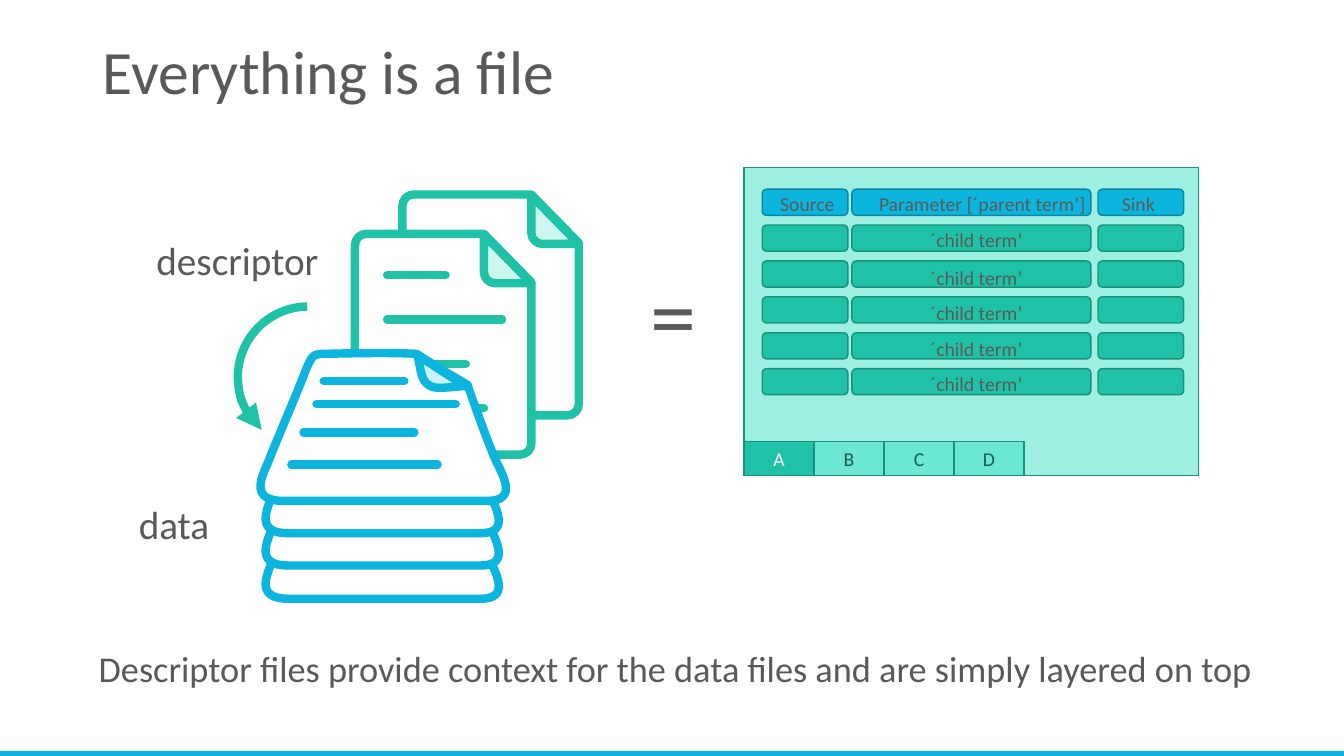
"""Builds the slide "Everything is a file" on a grid of 1333 columns by 750 rows."""
from lxml.etree import SubElement
from pptx import Presentation
from pptx.dml.color import RGBColor
from pptx.enum.shapes import MSO_CONNECTOR, MSO_SHAPE
from pptx.enum.text import MSO_ANCHOR, PP_ALIGN
from pptx.oxml.ns import qn
from pptx.util import Inches, Pt

GREEN = RGBColor(0x1F, 0xC2, 0xA7)
GREEN_EDGE = RGBColor(0x17, 0x90, 0x7C)
GREEN_TEXT = RGBColor(0x10, 0x61, 0x54)
GREEN_TAB = RGBColor(0x6C, 0xE7, 0xD3)
GREEN_PANEL = RGBColor(0x9D, 0xEF, 0xE2)
GREEN_FOLD = RGBColor(0xCE, 0xF7, 0xF0)
BLUE = RGBColor(0x0B, 0xB5, 0xDD)
BLUE_EDGE = RGBColor(0x08, 0x86, 0xA3)
BLUE_FOLD = RGBColor(0xCA, 0xF3, 0xFC)
LOWER_FOLD = RGBColor(0xDA, 0xE3, 0xF3)
LOWER_FOLD_EDGE = RGBColor(0x44, 0x72, 0xC4)
GREY = RGBColor(0x59, 0x59, 0x59)
WHITE = RGBColor(0xFF, 0xFF, 0xFF)

deck = Presentation()
deck.slide_width = Inches(13.33)
deck.slide_height = Inches(7.5)
CELL = deck.slide_height // 750
page = deck.slides.add_slide(deck.slide_layouts[6])


def write(box, text, size=14, color=GREY, align=PP_ALIGN.LEFT,
          anchor=MSO_ANCHOR.TOP, wrap=True, spacing=1.0):
    frame = box.text_frame
    frame.word_wrap = wrap
    frame.vertical_anchor = anchor
    para = frame.paragraphs[0]
    para.alignment = align
    para.line_spacing = spacing
    span = para.add_run()
    span.text = text
    span.font.name = "Calibri"
    span.font.size = Pt(size)
    span.font.color.rgb = color


def paint(shape, fill=None, edge=None, points=1):
    shape.shadow.inherit = False
    if fill is None:
        shape.fill.background()
    else:
        shape.fill.solid()
        shape.fill.fore_color.rgb = fill
    if edge is None:
        shape.line.fill.background()
    else:
        shape.line.color.rgb = edge
        shape.line.width = Pt(points)
        SubElement(shape.line._get_or_add_ln(), qn("a:round"))
    return shape


bar = page.shapes.add_shape(MSO_SHAPE.RECTANGLE, 0, CELL * 745, deck.slide_width, CELL * 5)
paint(bar, BLUE)

PAGE = ((352, 232, 527, 451), [
    (352, 244), (352, 237, 357, 232, 363, 232), (480, 232), (527, 280), (527, 440),
    (527, 446, 522, 451, 516, 451), (363, 451), (357, 451, 352, 446, 352, 440), (352, 244)])
PAGE_FOLD = ((480, 233, 527, 281), [
    (480, 233), (527, 281), (491, 281), (485, 281, 480, 276, 480, 270), (480, 233)])
SHEET = ((259, 350, 502, 497), [
    (303, 368), (296, 387, 271, 445, 267, 456), (261, 471, 245, 497, 282, 497),
    (483, 497), (516, 497, 497, 469, 490, 453), (484, 438, 474, 412, 464, 382),
    (440, 368, 435, 365, 413, 351), (389, 350, 372, 350, 325, 351),
    (311, 351, 310, 351, 303, 368)])
SHEET_FOLD = ((414, 352, 462, 385), [
    (414, 352), (417, 364, 417, 377, 425, 382), (432, 387, 444, 384, 462, 383),
    (450, 376, 424, 359, 414, 352)])
PAGE_LINES = [(384, 442, 273), (384, 498, 317), (384, 462, 361), (384, 480, 405)]
SHEET_LINES = [(321, 401, 378), (314, 452, 401), (301, 411, 429), (289, 434, 461)]

descriptor_outlines = [
    (outline, fill, GREEN, 1, right, down)
    for right, down in ((47, -39), (0, 0))
    for outline, fill in ((PAGE, WHITE), (PAGE_FOLD, GREEN_FOLD))]
data_outlines = [
    (outline, fill, edge, 0.95, 18, down)
    for down in (97, 64, 32)
    for outline, fill, edge in ((SHEET, WHITE, BLUE),
                                (SHEET_FOLD, LOWER_FOLD, LOWER_FOLD_EDGE))]
data_outlines += [(SHEET, WHITE, BLUE, 1, 0, 0), (SHEET_FOLD, BLUE_FOLD, BLUE, 1, 0, 0)]

for color, outlines, text_lines in ((GREEN, descriptor_outlines, PAGE_LINES),
                                    (BLUE, data_outlines, SHEET_LINES)):
    for (frame, steps), fill, edge, stretch, right, down in outlines:
        x1, y1, x2, y2 = frame
        builder = page.shapes.build_freeform(
            CELL * (x1 * stretch + right), CELL * (y1 + down))
        builder.add_line_segments(
            [(CELL * (x2 * stretch + right), CELL * (y2 + down))], close=False)
        sheet = paint(builder.convert_to_shape(), fill, edge, 6)
        contour = next(sheet._element.iter(qn("a:path")))
        for segment in list(contour):
            contour.remove(segment)
        for index, step in enumerate(steps):
            kind = "a:cubicBezTo" if len(step) == 6 else "a:lnTo" if index else "a:moveTo"
            segment = SubElement(contour, qn(kind))
            for x, y in zip(step[::2], step[1::2]):
                SubElement(segment, qn("a:pt"), x=str(round(CELL * (x - x1) * stretch)),
                           y=str(CELL * (y - y1)))
        SubElement(contour, qn("a:close"))
    for start, end, row in text_lines:
        stroke = page.shapes.add_connector(
            MSO_CONNECTOR.STRAIGHT, CELL * start, CELL * row, CELL * end, CELL * row)
        stroke.line.color.rgb = color
        stroke.line.width = Pt(6)
        stroke.line._get_or_add_ln().set("cap", "rnd")
        SubElement(stroke._element.spPr, qn("a:effectLst"))

for left, top, turn in ((397, 339, 0), (463, 383, 71.5)):
    patch = page.shapes.add_shape(
        MSO_SHAPE.RECTANGLE, CELL * left, CELL * top, CELL * 21, CELL * 7)
    patch.rotation = turn
    paint(patch, WHITE)

arrow = page.shapes.add_shape(MSO_SHAPE.ARC, CELL * 236, CELL * 304, CELL * 140, CELL * 140)
arrow.adjustments[0] = 136.2
arrow.adjustments[1] = 2.73
arrow.rotation = 264.4
paint(arrow, None, GREEN, 6)
SubElement(arrow.line._get_or_add_ln(), qn("a:headEnd"), type="triangle")

panel = page.shapes.add_shape(
    MSO_SHAPE.RECTANGLE, CELL * 738, CELL * 166, CELL * 451, CELL * 306)
paint(panel, GREEN_PANEL, GREEN_EDGE)

for index, letter in enumerate("ABCD"):
    tab = page.shapes.add_shape(
        MSO_SHAPE.RECTANGLE, int(CELL * (738 + 69.4 * index)), CELL * 438,
        int(CELL * 69.4), CELL * 34)
    paint(tab, GREEN_TAB if index else GREEN, GREEN_EDGE)
    write(tab, letter, color=GREEN_TEXT if index else WHITE,
          align=PP_ALIGN.CENTER, anchor=MSO_ANCHOR.MIDDLE)

for row in range(6):
    for left, width in ((756, 85), (845, 237), (1089, 85)):
        field = page.shapes.add_shape(
            MSO_SHAPE.ROUNDED_RECTANGLE, CELL * left, int(CELL * (187.7 + 35.6 * row)),
            CELL * width, CELL * 26)
        paint(field, GREEN if row else BLUE, GREEN_EDGE if row else BLUE_EDGE)

centered = {"align": PP_ALIGN.CENTER}
label = {"size": 28, "align": PP_ALIGN.CENTER, "wrap": False}
heading = {"wrap": False}
texts = [
    ("Everything is a file", (92, 1, 1150, 145),
     {"size": 44, "anchor": MSO_ANCHOR.MIDDLE, "spacing": 0.9}),
    ("data", (127, 491.6, 91, 57), label),
    ("descriptor", (144, 230, 183, 57), label),
    ("Descriptor files provide context for the data files and are simply layered on top",
     (70, 641, 1200, 74), {"size": 25.9, "align": PP_ALIGN.CENTER, "spacing": 0.9}),
    ("Source", (764, 186, 74, 34), heading),
    ("Sink", (1103, 185, 53, 34), heading),
    ("Parameter [´parent term’]", (862, 185, 227, 34), heading),
    ("=", (635, 250, 60, 121), {"size": 66}),
]
texts += [("´child term’", (890.5, top, 156, 34), centered)
          for top in (221, 259, 294, 329, 364)]
for text, area, style in texts:
    write(page.shapes.add_textbox(*(int(CELL * length) for length in area)), text, **style)

deck.save("out.pptx")
